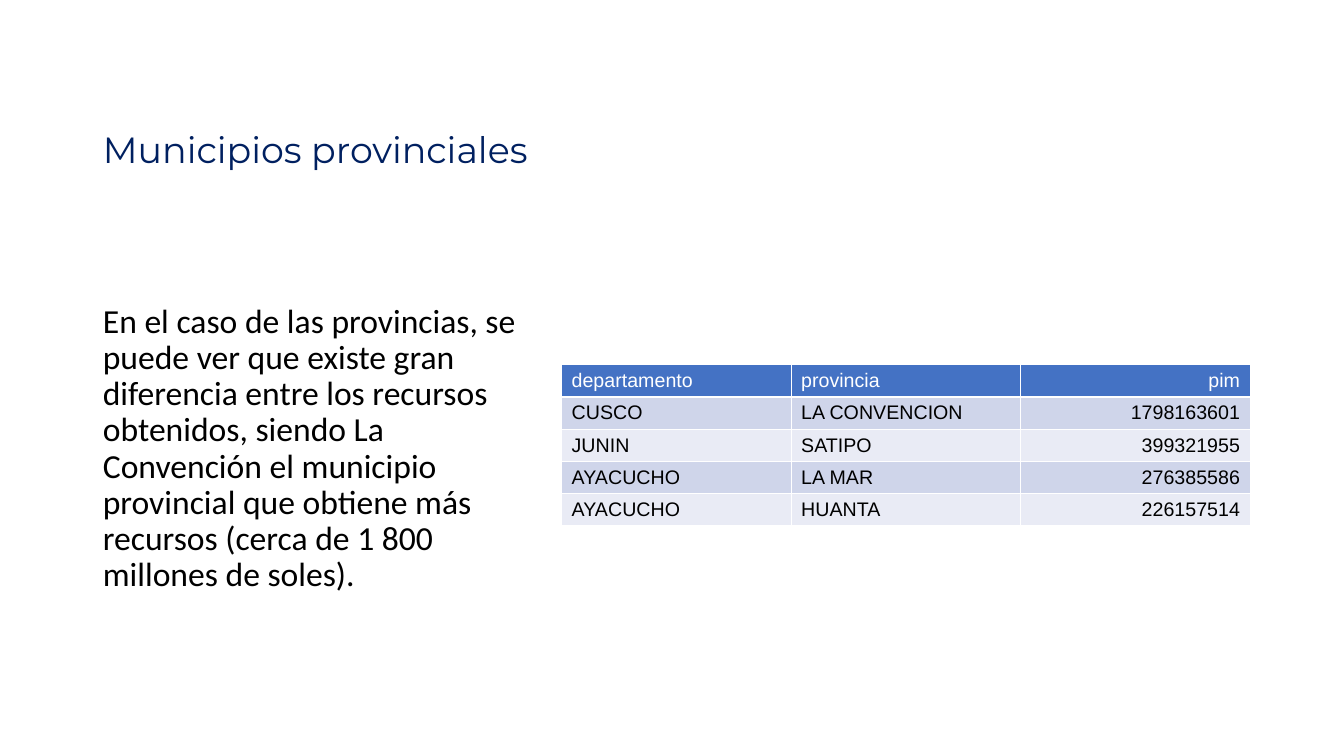
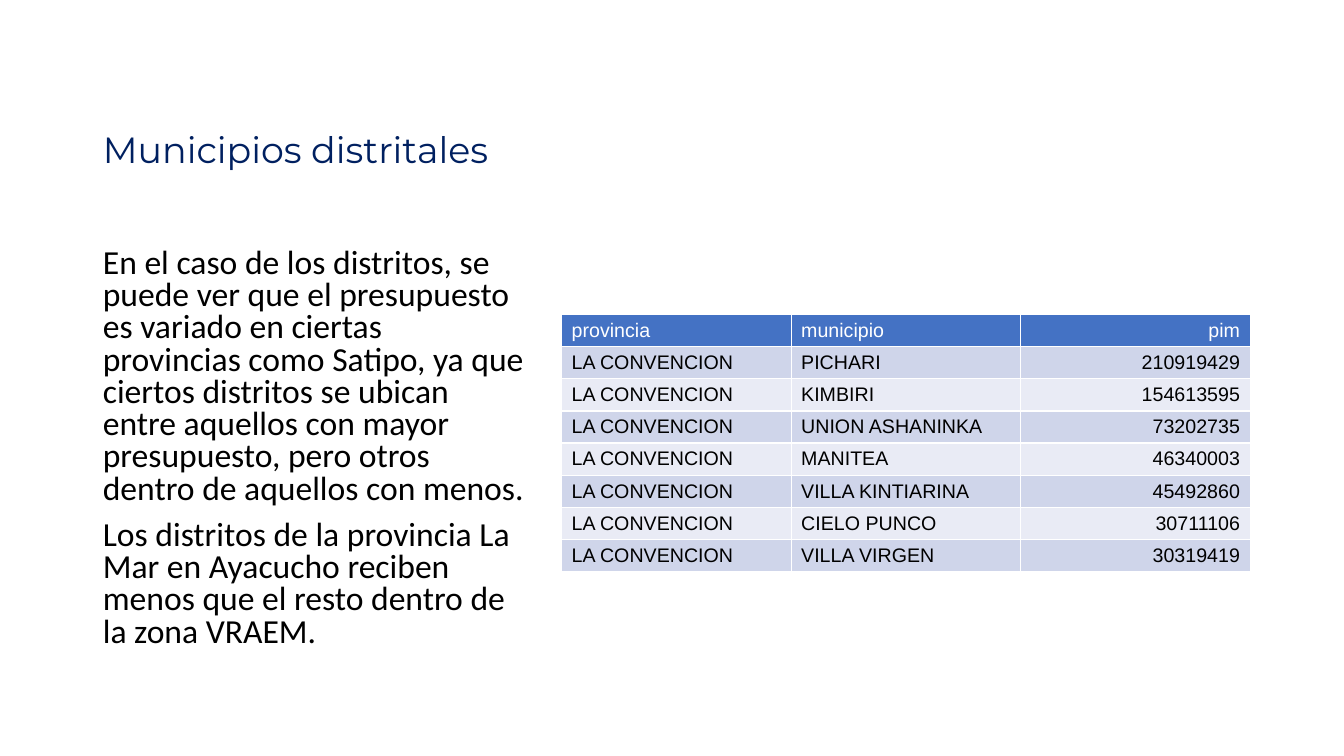
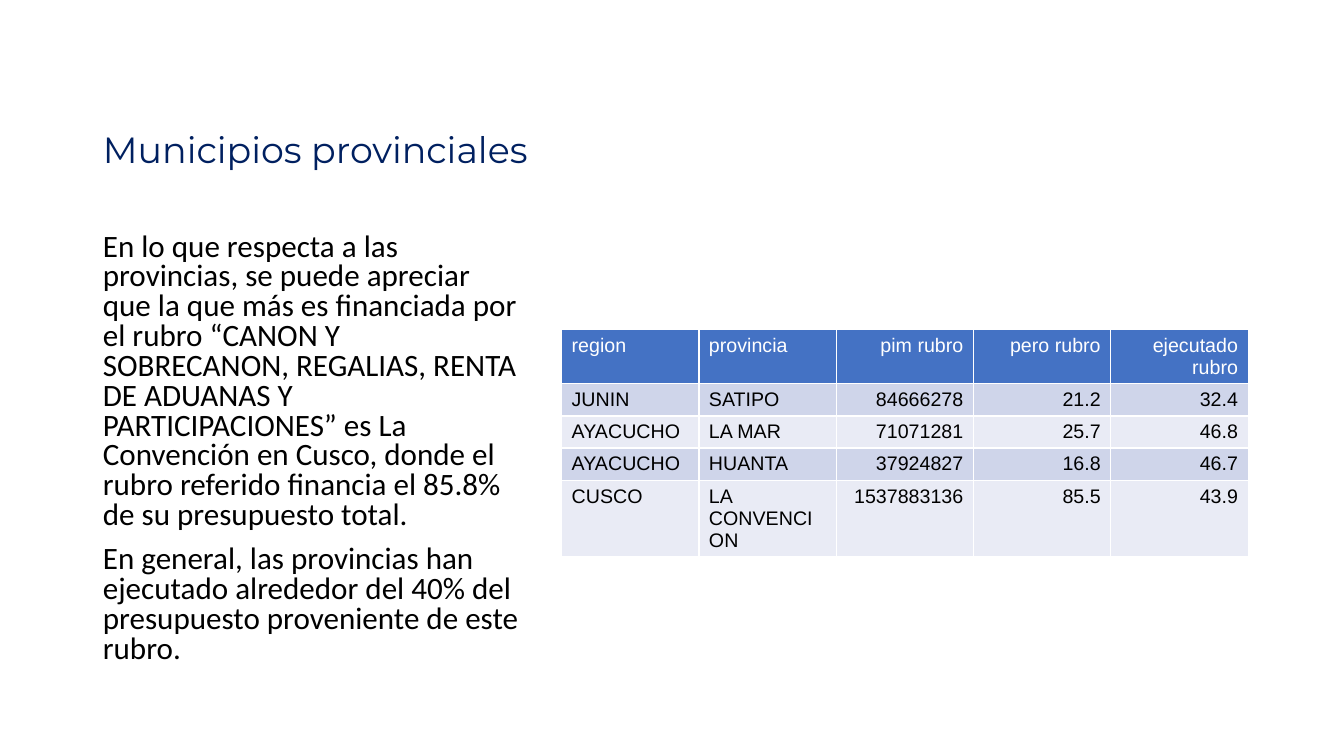
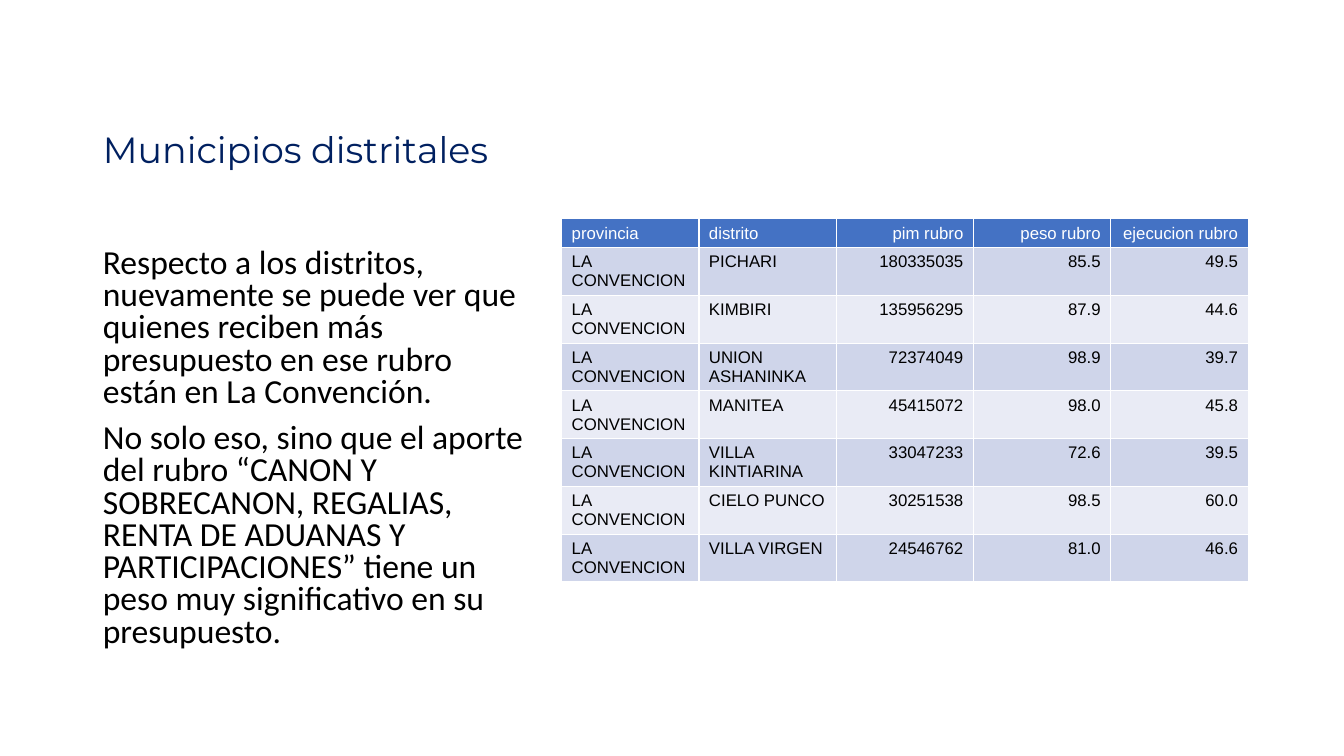
import pptx
import pptx.dml.color
import pptx.enum.text
import pptx.oxml
import pptx.oxml.ns
import pptx.util
from lxml import etree

Inches = pptx.util.Inches
Pt = pptx.util.Pt
ALIGN = pptx.enum.text.PP_ALIGN
qn = pptx.oxml.ns.qn

NAVY, BLACK, WHITE = "002060", "000000", "FFFFFF"
HEADER, BAND_DARK, BAND_LIGHT = "4472C4", "CFD5EA", "E9EBF5"
TITLE_BOX = (0.92, 1.16, 11.5, 0.69)
BODY_BOX = (0.92, 2.17, 4.38, 4.57)
TABLE_LEFT = 5.57
MIN_ROW = 0.25
TEXT_COLUMNS = 2

SLIDES = [
    dict(
        title="Municipios provinciales",
        body=["En el caso de las provincias, se puede ver que existe gran diferencia entre los "
              "recursos obtenidos, siendo La Convención el municipio provincial que obtiene más "
              "recursos (cerca de 1 800 millones de soles)."],
        spacing=0.9, table_top=3.62, table_width=6.83,
        rows=[
            ("departamento", "provincia", "pim"),
            ("CUSCO", "LA CONVENCION", "1798163601"),
            ("JUNIN", "SATIPO", "399321955"),
            ("AYACUCHO", "LA MAR", "276385586"),
            ("AYACUCHO", "HUANTA", "226157514"),
        ]),
    dict(
        title="Municipios distritales",
        body=["En el caso de los distritos, se puede ver que el presupuesto es variado en ciertas "
              "provincias como Satipo, ya que ciertos distritos se ubican entre aquellos con mayor "
              "presupuesto, pero otros dentro de aquellos con menos.",
              "Los distritos de la provincia La Mar en Ayacucho reciben menos que el resto dentro "
              "de la zona VRAEM."],
        table_top=3.12, table_width=6.83,
        rows=[
            ("provincia", "municipio", "pim"),
            ("LA CONVENCION", "PICHARI", "210919429"),
            ("LA CONVENCION", "KIMBIRI", "154613595"),
            ("LA CONVENCION", "UNION ASHANINKA", "73202735"),
            ("LA CONVENCION", "MANITEA", "46340003"),
            ("LA CONVENCION", "VILLA KINTIARINA", "45492860"),
            ("LA CONVENCION", "CIELO PUNCO", "30711106"),
            ("LA CONVENCION", "VILLA VIRGEN", "30319419"),
        ]),
    dict(
        title="Municipios provinciales",
        body=["En lo que respecta a las provincias, se puede apreciar que la que más es financiada "
              "por el rubro “CANON Y SOBRECANON, REGALIAS, RENTA DE ADUANAS Y PARTICIPACIONES” es "
              "La Convención en Cusco, donde el rubro referido financia el 85.8% de su presupuesto "
              "total.",
              "En general, las provincias han ejecutado alrededor del 40% del presupuesto "
              "proveniente de este rubro."],
        body_size=22.2, table_top=3.27, table_width=6.81,
        rows=[
            ("region", "provincia", "pim rubro", "pero rubro", "ejecutado rubro"),
            ("JUNIN", "SATIPO", "84666278", "21.2", "32.4"),
            ("AYACUCHO", "LA MAR", "71071281", "25.7", "46.8"),
            ("AYACUCHO", "HUANTA", "37924827", "16.8", "46.7"),
            ("CUSCO", "LA CONVENCION", "1537883136", "85.5", "43.9"),
        ]),
    dict(
        title="Municipios distritales",
        body=["Respecto a los distritos, nuevamente se puede ver que quienes reciben más "
              "presupuesto en ese rubro están en La Convención.",
              "No solo eso, sino que el aporte del rubro “CANON Y SOBRECANON, REGALIAS, RENTA DE "
              "ADUANAS Y PARTICIPACIONES” tiene un peso muy significativo en su presupuesto."],
        table_top=2.17, table_width=6.81, table_size=12,
        rows=[
            ("provincia", "distrito", "pim rubro", "peso rubro", "ejecucion rubro"),
            ("LA CONVENCION", "PICHARI", "180335035", "85.5", "49.5"),
            ("LA CONVENCION", "KIMBIRI", "135956295", "87.9", "44.6"),
            ("LA CONVENCION", "UNION ASHANINKA", "72374049", "98.9", "39.7"),
            ("LA CONVENCION", "MANITEA", "45415072", "98.0", "45.8"),
            ("LA CONVENCION", "VILLA KINTIARINA", "33047233", "72.6", "39.5"),
            ("LA CONVENCION", "CIELO PUNCO", "30251538", "98.5", "60.0"),
            ("LA CONVENCION", "VILLA VIRGEN", "24546762", "81.0", "46.6"),
        ]),
]


def rgb(color):
    return pptx.dml.color.RGBColor.from_string(color)


def format_paragraph(p, font, size, color, align=ALIGN.LEFT):
    p.alignment = align
    for r in p.runs:
        r.font.name = font
        r.font.size = Pt(size)
        r.font.bold = False
        r.font.color.rgb = rgb(color)


def fill_placeholder(sp, box, paragraphs, font, size, color, spacing, before):
    """Move a placeholder to the box and set its paragraphs, without bullets."""
    sp.left, sp.top, sp.width, sp.height = map(Inches, box)
    tf = sp.text_frame
    tf.word_wrap = True
    tf.auto_size = pptx.enum.text.MSO_AUTO_SIZE.NONE
    tf.vertical_anchor = pptx.enum.text.MSO_ANCHOR.MIDDLE
    tf.text = "\n".join(paragraphs)
    for p in tf.paragraphs:
        p.line_spacing = spacing
        p.space_before = Pt(before)
        format_paragraph(p, font, size, color)
        pPr = p._p.get_or_add_pPr()
        pPr.set("marL", "0")
        pPr.set("indent", "0")
        etree.SubElement(pPr, qn("a:buNone"))


def add_cell_borders(cell, color, width):
    tcPr = cell._tc.get_or_add_tcPr()
    for side in ("lnL", "lnR", "lnT", "lnB"):
        ln = etree.SubElement(tcPr, qn("a:" + side), w=str(Pt(width)))
        solid = etree.SubElement(ln, qn("a:solidFill"))
        etree.SubElement(solid, qn("a:srgbClr"), val=color)


def add_data_table(slide, left, top, width, rows, size):
    """Add a banded table with equal columns; rows grow to fit their text."""
    frame = slide.shapes.add_table(len(rows), len(rows[0]), Inches(left), Inches(top),
                                   Inches(width), Inches(MIN_ROW * len(rows)))
    for i, row in enumerate(rows):
        fill = HEADER if i == 0 else (BAND_DARK if i % 2 else BAND_LIGHT)
        color = BLACK if i else WHITE
        for j, value in enumerate(row):
            cell = frame.table.cell(i, j)
            cell.text_frame.text = value
            align = ALIGN.LEFT if j < TEXT_COLUMNS else ALIGN.RIGHT
            format_paragraph(cell.text_frame.paragraphs[0], "Arial", size, color, align)
            add_cell_borders(cell, WHITE, 1)
            cell.fill.solid()
            cell.fill.fore_color.rgb = rgb(fill)


def add_text_and_table_slide(prs, title, body, table_top, table_width, rows,
                             spacing=0.8, body_size=24, table_size=14):
    slide = prs.slides.add_slide(prs.slide_layouts[1])
    fill_placeholder(slide.shapes.title, TITLE_BOX, [title], "Montserrat", 26, NAVY, 0.9, 0)
    fill_placeholder(slide.placeholders[1], BODY_BOX, body, "Calibri", body_size, BLACK,
                     spacing, 10)
    add_data_table(slide, TABLE_LEFT, table_top, table_width, rows, table_size)


def main():
    prs = pptx.Presentation()
    prs.slide_width, prs.slide_height = Inches(13.33), Inches(7.5)
    for content in SLIDES:
        add_text_and_table_slide(prs, **content)
    prs.save("out.pptx")


if __name__ == "__main__":
    main()
